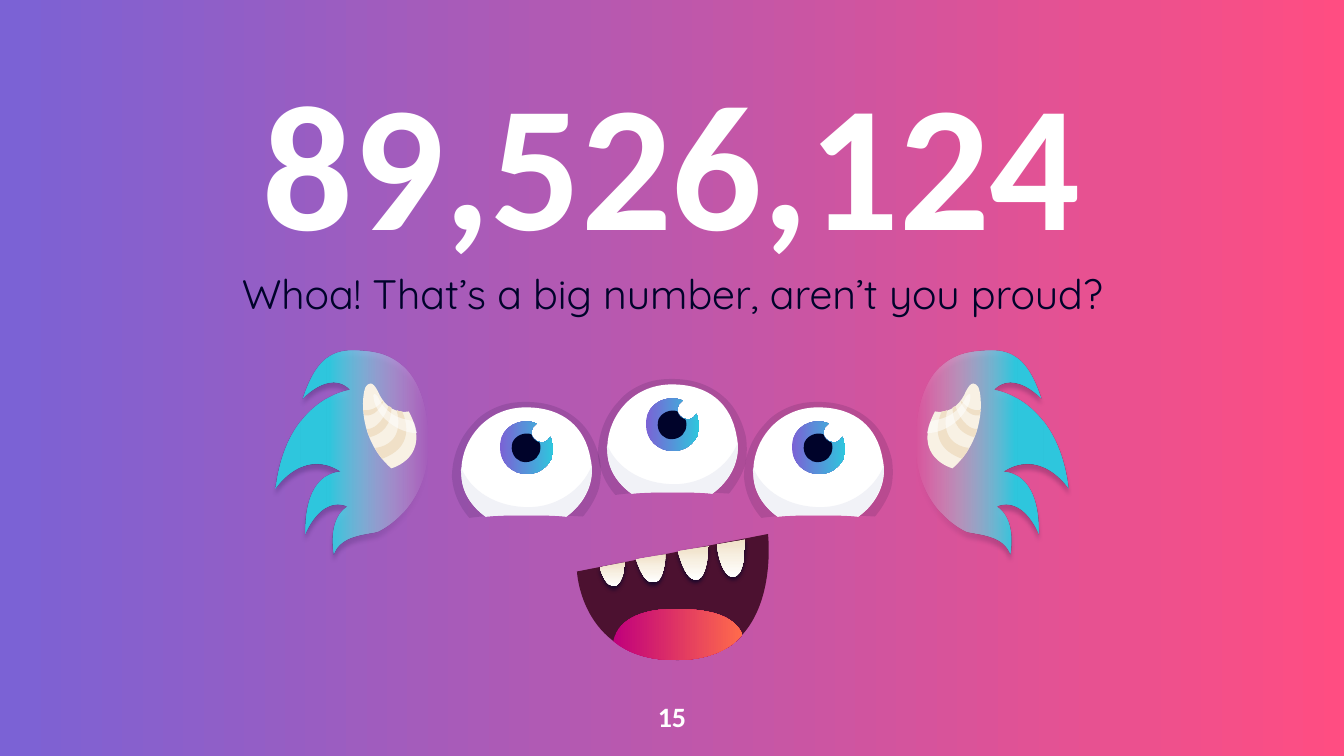
import lxml.etree
import pptx
import pptx.dml.color
import pptx.enum.text
import pptx.oxml
import pptx.oxml.ns
import pptx.util

SCALE = 914400 / 134.4
WIDTH, HEIGHT = 1344, 756
COLORS = {"violet": "7B62D5", "pink": "FF4D82", "teal": "2EC6DD", "white": "FFFFFF",
          "ink": "00032A", "rim": "09052E", "lid": "F1F2F7", "mouth": "4C1130",
          "magenta": "C0007C", "orange": "FF6B4B", "cream": "F8F1E4", "sand": "F0E0C7"}

FUR_GRID = (113, 152)
FUR = ("M 75 135 C 75 135 114 119 113 66 C 111 7 80 1 65 0 C 45 -2 31 2 20 36 C 20 36 40 14 55 29 "
       "C 55 29 8 35 0 103 C 0 103 20 72 48 90 C 48 90 21 89 22 137 C 22 137 33 108 53 116 "
       "C 45 121 40 133 43 152 C 48 137 68 137 75 135")

HORN_GRID = (40, 62)
HORN = "M 34 21 C 34 21 19 25 11 6 C 7 -2 4 0 2 3 C -1 9 -4 41 21 63 C 21 63 52 55 34 21"
HORN_BANDS = [
    "M 9 48 C 18 47 30 41 25 20 C 26 21 28 21 29 21 C 33 30 37 48 14 56 C 12 53 10 51 9 48",
    "M 19 17 C 20 18 20 18 21 18 C 21 24 20 36 5 40 C 4 38 3 36 3 34 C 7 34 14 31 19 17",
    "M 15 13 C 15 13 15 13 15 14 C 13 18 9 25 1 24 C 1 23 1 21 0 20 C 5 21 10 19 15 13"]
HORN_SHINE = "M 37 28 C 39 31 39 34 40 37 C 25 37 10 24 8 12 C 7 6 9 8 11 10 C 18 26 32 27 37 28"

EYE_GRID = (110, 86)
EYE_BASE = "M 25 85 C 35 84 45 84 55 84 C 66 84 76 84 85 85 "
EYE_RIM = ("M 13 86 C 27 84 41 84 55 84 C 70 84 83 84 97 85 C 98 85 98 84 99 83 "
           "C 103 78 107 71 109 65 C 111 58 111 50 110 43 C 107 30 101 19 92 12 C 82 4 70 0 55 0 "
           "C 47 0 40 1 33 4 C 26 7 20 11 16 16 C 5 27 0 42 0 56 C 1 67 5 77 13 86")
EYEBALL = EYE_BASE + "C 99 75 107 59 103 42 C 99 19 83 4 55 4 C 24 4 6 30 7 53 C 7 66 14 77 25 85"
IRIS = ("M 73 26 C 71 30 67 31 63 29 C 59 27 58 23 60 19 C 61 18 62 17 63 16 C 53 12 41 16 37 26 "
        "C 33 37 38 48 48 52 C 58 56 69 52 74 42 C 76 37 76 31 73 26")
PUPIL = ("M 59 24 C 54 22 47 25 45 30 C 43 36 46 42 51 44 C 57 46 63 43 65 38 "
         "C 66 35 66 32 65 30 C 62 29 60 27 59 24")
EYE_SHADE = EYE_BASE + ("C 97 76 105 62 104 47 C 97 65 78 78 57 78 C 33 78 14 66 7 49 "
                        "C 7 50 6 51 7 53 C 7 66 14 77 25 85")

MOUTH_GRID = (142, 94)
MOUTH = "M 0 28 L 142 0 C 142 0 153 92 78 94 C 3 96 0 28 0 28"
TONGUE = ("M 123 75 C 115 56 85 56 71 56 C 54 56 31 61 27 80 C 38 89 55 95 78 94 "
          "C 99 93 114 86 123 75")
TEETH = ["M 44 19 C 47 28 51 36 56 36 C 63 37 65 26 66 15",
         "M 36 21 L 17 25 C 19 32 22 38 27 39 C 32 39 35 30 36 21",
         "M 104 8 C 105 17 109 32 116 32 C 124 32 125 13 125 4",
         "M 98 9 L 75 13 C 78 23 82 34 88 34 C 95 35 97 20 98 9"]


def px(length):
    """Turn pixels into EMU."""
    return pptx.util.Emu(round(length * SCALE))


def color_xml(name, alpha=100):
    """Return the XML of one colour with its opacity in percent."""
    return f'<a:srgbClr val="{COLORS[name]}"><a:alpha val="{alpha * 1000}"/></a:srgbClr>'


def fill_element(stops, angle=0):
    """Build a solid fill from one (colour, opacity) stop, or a gradient from (position, colour, opacity)."""
    ns = pptx.oxml.ns.nsdecls("a")
    if len(stops) == 1:
        return pptx.oxml.parse_xml(f"<a:solidFill {ns}>{color_xml(*stops[0])}</a:solidFill>")
    marks = "".join(f'<a:gs pos="{at * 1000}">{color_xml(*color)}</a:gs>' for at, *color in stops)
    return pptx.oxml.parse_xml(f'<a:gradFill {ns} rotWithShape="1"><a:gsLst>{marks}</a:gsLst>'
                               f'<a:lin ang="{angle * 60000}" scaled="0"/></a:gradFill>')


def shadow_element(alpha, blur, distance, angle=90):
    """Build an ink-coloured outer shadow, with blur and distance in points."""
    return pptx.oxml.parse_xml(
        f'<a:effectLst {pptx.oxml.ns.nsdecls("a")}><a:outerShdw blurRad="{pptx.util.Pt(blur)}" '
        f'dist="{pptx.util.Pt(distance)}" dir="{angle * 60000}" algn="bl" rotWithShape="0">'
        f'{color_xml("ink", alpha)}</a:outerShdw></a:effectLst>')


def outline_steps(outline):
    """Split an outline into its steps, each a list of grid points."""
    steps = []
    for step in outline.replace("C", "|").replace("L", "|").replace("M", "").split("|"):
        values = [int(number) for number in step.split()]
        steps.append(list(zip(values[::2], values[1::2])))
    return steps


def curve_extent(steps):
    """Return the least and greatest corner that the curves reach."""
    reached = [steps[0][0]]
    for step in steps[1:]:
        curve = [reached[-1]] + step
        for t in ([k / 16 for k in range(1, 17)] if len(step) == 3 else []):
            weights = ((1 - t) ** 3, 3 * t * (1 - t) ** 2, 3 * t * t * (1 - t), t ** 3)
            reached.append(tuple(sum(w * p[axis] for w, p in zip(weights, curve)) for axis in (0, 1)))
        if len(step) == 1:
            reached.append(step[0])
    return [tuple(pick(p[axis] for p in reached) for axis in (0, 1)) for pick in (min, max)]


def bend(piece, steps, extent):
    """Turn straight triples into curves and fit the frame to the curves' extent."""
    outline = piece._element.xpath(".//a:path")[0]
    (left, top), (right, bottom) = extent
    shift = (left - piece.left, top - piece.top)
    piece.left, piece.top, piece.width, piece.height = left, top, right - left, bottom - top
    outline.set("w", str(right - left))
    outline.set("h", str(bottom - top))
    for point in outline.xpath(".//a:pt"):
        for axis, offset in zip("xy", shift):
            point.set(axis, str(int(point.get(axis)) - offset))
    lines = iter(outline.findall(pptx.oxml.ns.qn("a:lnTo")))
    for step in steps[1:]:
        group = [next(lines) for _ in step]
        if len(group) == 3:
            curve = lxml.etree.Element(pptx.oxml.ns.qn("a:cubicBezTo"))
            group[0].addprevious(curve)
            for line in group:
                curve.append(line[0])
                outline.remove(line)


def draw(slide, box, grid, outline, stops, angle=0, shadow=None, mirrored=False):
    """Draw one filled outline, given on a grid, inside a box."""
    left, top, width, height = box

    def place(point):
        """Move a grid point to the slide."""
        x = grid[0] - point[0] if mirrored else point[0]
        return px(left + x * width / grid[0]), px(top + point[1] * height / grid[1])

    steps = [[place(point) for point in step] for step in outline_steps(outline)]
    builder = slide.shapes.build_freeform(*steps[0][0], scale=1.0)
    builder.add_line_segments([point for step in steps[1:] for point in step], close=True)
    piece = builder.convert_to_shape()
    bend(piece, steps, [tuple(map(round, corner)) for corner in curve_extent(steps)])
    piece.shadow.inherit = False
    piece.line.fill.background()
    piece.fill.background()
    properties = piece._element.spPr
    properties.replace(properties.find(pptx.oxml.ns.qn("a:noFill")), fill_element(stops, angle))
    if shadow:
        properties.replace(properties.find(pptx.oxml.ns.qn("a:effectLst")), shadow_element(*shadow))


def ear(slide, box, mirrored=False):
    """Draw a furry ear with its horn."""
    left, top, width, height = box
    draw(slide, box, FUR_GRID, FUR, [(0, "white", 0), (65, "teal"), (100, "teal")],
         0 if mirrored else 180, (20, 2.2, 3), mirrored)
    horn_box = (left + (width - 87 - 54 if mirrored else 87), top + 32, 54, 84)
    for outline, color in [(HORN, ("cream",)), *((band, ("sand",)) for band in HORN_BANDS),
                           (HORN_SHINE, ("white", 55))]:
        draw(slide, horn_box, HORN_GRID, outline, [color], mirrored=mirrored)


def eye(slide, box):
    """Draw an eye from its rim inwards."""
    for outline, stops in [(EYE_RIM, [("rim", 12)]), (EYEBALL, [("white",)]),
                           (IRIS, [(0, "violet"), (100, "teal")]),
                           (PUPIL, [("ink",)]), (EYE_SHADE, [("lid",)])]:
        draw(slide, box, EYE_GRID, outline, stops)


def mouth(slide, box):
    """Draw the open mouth with tongue and teeth."""
    draw(slide, box, MOUTH_GRID, MOUTH, [("mouth",)])
    draw(slide, box, MOUTH_GRID, TONGUE, [(0, "magenta"), (100, "orange")])
    for tooth in TEETH:
        draw(slide, box, MOUTH_GRID, tooth, [(0, "sand"), (50, "cream"), (100, "white")],
             90, (65, 2.2, 1.5))


def write(holder, box, text, size, font, color, anchor, bold=False, spacing=1.0, before=0, shaded=False):
    """Place a text holder in a box and write its single centred line."""
    holder.left, holder.top, holder.width, holder.height = map(px, box)
    frame = holder.text_frame
    frame.word_wrap = True
    frame.auto_size = pptx.enum.text.MSO_AUTO_SIZE.NONE
    frame.vertical_anchor = anchor
    frame.margin_left = frame.margin_right = frame.margin_top = frame.margin_bottom = 0
    line = frame.paragraphs[0]
    line.alignment = pptx.enum.text.PP_ALIGN.CENTER
    line.line_spacing, line.space_before = spacing, pptx.util.Pt(before)
    run = line.add_run()
    run.text = text
    run.font.size, run.font.name, run.font.bold = pptx.util.Pt(size), font, bold
    run.font.color.rgb = pptx.dml.color.RGBColor.from_string(COLORS[color])
    if shaded:
        run._r.rPr.find(pptx.oxml.ns.qn("a:solidFill")).addnext(shadow_element(50, 3, 2, 45))


def big_number_slide(deck):
    """Build the slide with the big number above the monster's face."""
    slide = deck.slides.add_slide(deck.slide_layouts[5])
    slide.background.fill.solid()
    backdrop = slide._element.xpath(".//p:bgPr")[0]
    backdrop.replace(backdrop[0], fill_element([(0, "violet"), (100, "pink")]))
    anchors = pptx.enum.text.MSO_ANCHOR
    for mirrored in (False, True):
        ear(slide, (WIDTH - 276 - 152 if mirrored else 276, 351, 152, 204), mirrored)
    write(slide.shapes.title, (126, 98, 1093, 171), "89,526,124", 96, "Calibri", "white",
          anchors.BOTTOM, bold=True, spacing=0.9, shaded=True)
    write(slide.shapes.add_textbox(0, 0, 0, 0), (126, 261, 1093, 78),
          "Whoa! That’s a big number, aren’t you proud?", 22, "Quicksand", "ink",
          anchors.TOP, spacing=1.15, before=6, shaded=True)
    write(slide.shapes.add_textbox(0, 0, 0, 0), (632, 687, 80, 58), "15", 15, "Calibri",
          "white", anchors.MIDDLE, bold=True)
    mouth(slide, (577, 534, 191, 126))
    for k, top in enumerate((402, 379, 402)):
        eye(slide, (452 + 146 * k, top, 148, 116))


deck = pptx.Presentation()
deck.slide_width, deck.slide_height = px(WIDTH), px(HEIGHT)
big_number_slide(deck)
deck.save("out.pptx")
